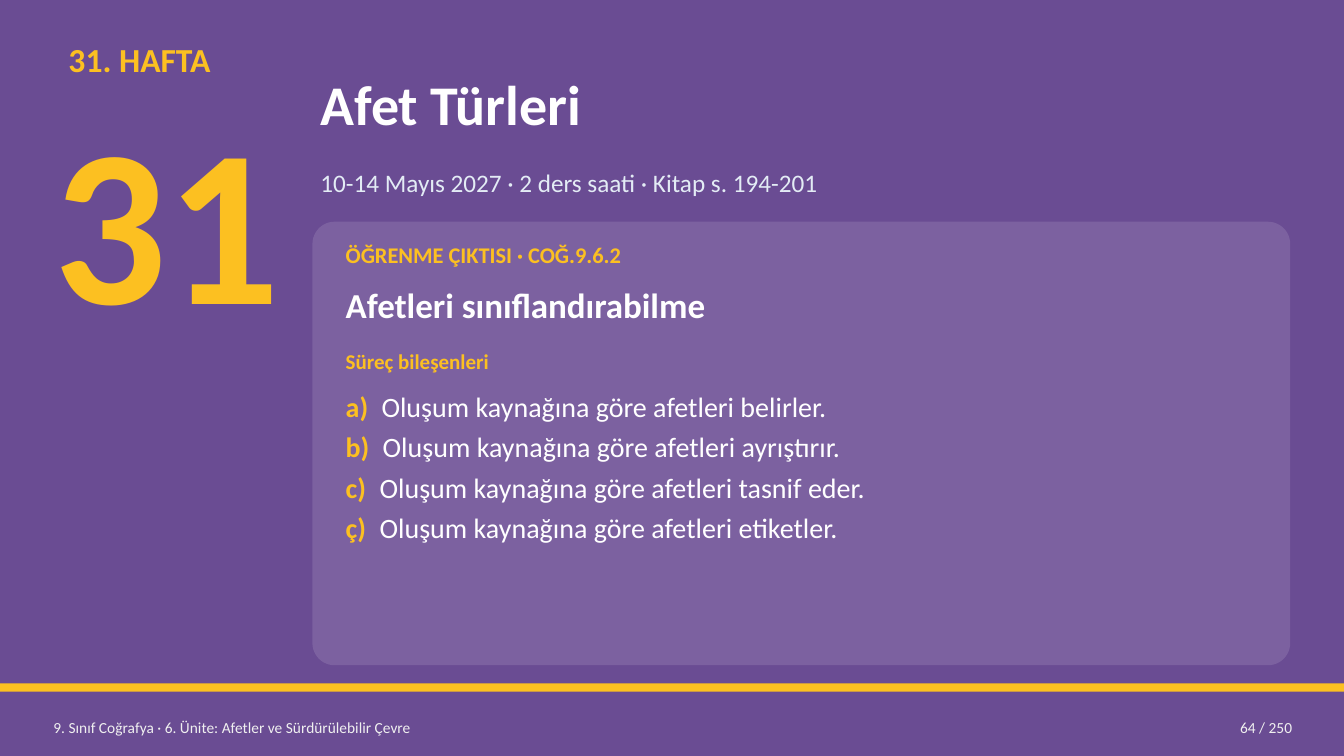
from lxml import etree
from pptx import Presentation
from pptx.dml.color import RGBColor
from pptx.enum.shapes import MSO_SHAPE as Preset
from pptx.enum.text import MSO_ANCHOR as Anchor, PP_ALIGN as Align
from pptx.oxml.ns import qn
from pptx.util import Pt

WIDTH, HEIGHT = 960, 540
FONT = "Calibri"
PURPLE, GOLD, WHITE = "6A4C93", "FCC021", "FFFFFF"
PALE_BLUE, PALE_GREY = "E3ECF5", "F0F0F0"
COMPONENTS = [
    ("a)", "Oluşum kaynağına göre afetleri belirler.", 25.6),
    ("b)", "Oluşum kaynağına göre afetleri ayrıştırır.", 26.4),
    ("c)", "Oluşum kaynağına göre afetleri tasnif eder.", 24.2),
    ("ç)", "Oluşum kaynağına göre afetleri etiketler.", 24.2),
]


def color(value):
    return RGBColor.from_string(value)


def add_panel(slide, box, fill, preset=Preset.RECTANGLE, opacity=None):
    panel = slide.shapes.add_shape(preset, *map(Pt, box))
    panel.shadow.inherit = False
    panel.fill.solid()
    panel.fill.fore_color.rgb = color(fill)
    panel.line.fill.background()
    if opacity is not None:
        shade = panel.fill._xPr.find(qn("a:solidFill"))[0]
        etree.SubElement(shade, qn("a:alpha"), val=str(opacity * 1000))
    return panel


def add_frame(slide, box, anchor=Anchor.TOP, inset=2.9):
    frame = slide.shapes.add_textbox(*map(Pt, box)).text_frame
    frame.word_wrap = True
    frame.vertical_anchor = anchor
    frame.margin_left = frame.margin_right = Pt(5.76)
    frame.margin_top = frame.margin_bottom = Pt(inset)
    return frame


def add_span(para, text, size, ink, bold=False):
    span = para.add_run()
    span.text = text
    span.font.name = FONT
    span.font.size = Pt(size)
    span.font.bold = bold
    span.font.color.rgb = color(ink)


def add_label(slide, box, text, size, ink, bold=False, anchor=Anchor.TOP,
              inset=2.9, align=Align.LEFT):
    para = add_frame(slide, box, anchor, inset).paragraphs[0]
    para.alignment = align
    add_span(para, text, size, ink, bold)


def add_week(slide, box):
    left, top, width, height = box
    add_label(slide, (left + 10.8, top, width, 39.6), "31. HAFTA", 24, GOLD, True)
    add_label(slide, (left, top + 32.4, width, height - 32.4), "31", 160, GOLD, True,
              inset=0)


def add_heading(slide, box):
    left, top, width, height = box
    add_label(slide, (left, top, width, 82.8), "Afet Türleri", 40, WHITE, True,
              Anchor.MIDDLE)
    add_label(slide, (left, top + 84.2, width, height - 84.2),
              "10-14 Mayıs 2027 · 2 ders saati · Kitap s. 194-201", 18, PALE_BLUE)


def add_components(slide, box):
    frame = add_frame(slide, box)
    for index, (letter, text, indent) in enumerate(COMPONENTS):
        para = frame.add_paragraph() if index else frame.paragraphs[0]
        properties = para._p.get_or_add_pPr()
        properties.set("marL", str(Pt(indent)))
        properties.set("indent", str(-Pt(indent)))
        if index < len(COMPONENTS) - 1:
            para.space_after = Pt(5)
        add_span(para, letter + "\t", 20, GOLD, True)
        add_span(para, text, 20, WHITE)


def add_outcome(slide, box):
    left, top, width, height = box
    card = add_panel(slide, box, WHITE, Preset.ROUNDED_RECTANGLE, opacity=12)
    card.adjustments[0] = 0.05
    left, width = left + 18, width - 36
    labels = [
        (10.8, 28.8, "ÖĞRENME ÇIKTISI · COĞ.9.6.2", 16, GOLD),
        (41, 38.2, "Afetleri sınıflandırabilme", 25, WHITE),
        (87.8, 27.4, "Süreç bileşenleri", 15, GOLD),
    ]
    for offset, depth, text, size, ink in labels:
        add_label(slide, (left, top + offset, width, depth), text, size, ink, True)
    add_components(slide, (left, top + 116.6, width, height - 125.2))


def add_footer(slide, box):
    left, top, width, height = box
    add_label(slide, (left, top, 547.2, height),
              "9. Sınıf Coğrafya · 6. Ünite: Afetler ve Sürdürülebilir Çevre",
              11, PALE_GREY, anchor=Anchor.MIDDLE)
    add_label(slide, (left + width - 115.2, top, 115.2, height), "64 / 250",
              11, PALE_GREY, anchor=Anchor.MIDDLE, align=Align.RIGHT)


def add_week_page(deck):
    page = deck.slides.add_slide(deck.slide_layouts[6])
    add_panel(page, (0, 0, WIDTH, HEIGHT), PURPLE)
    add_panel(page, (0, 488.2, WIDTH, 5.8), GOLD)
    add_week(page, (32.4, 25.2, 187.2, 230.4))
    add_heading(page, (223.2, 32.4, 698.4, 116.6))
    add_outcome(page, (223.2, 158.4, 698.4, 316.8))
    add_footer(page, (32.4, 506.9, 896.4, 25.9))


def main():
    deck = Presentation()
    deck.slide_width, deck.slide_height = Pt(WIDTH), Pt(HEIGHT)
    add_week_page(deck)
    deck.save("out.pptx")


if __name__ == "__main__":
    main()
